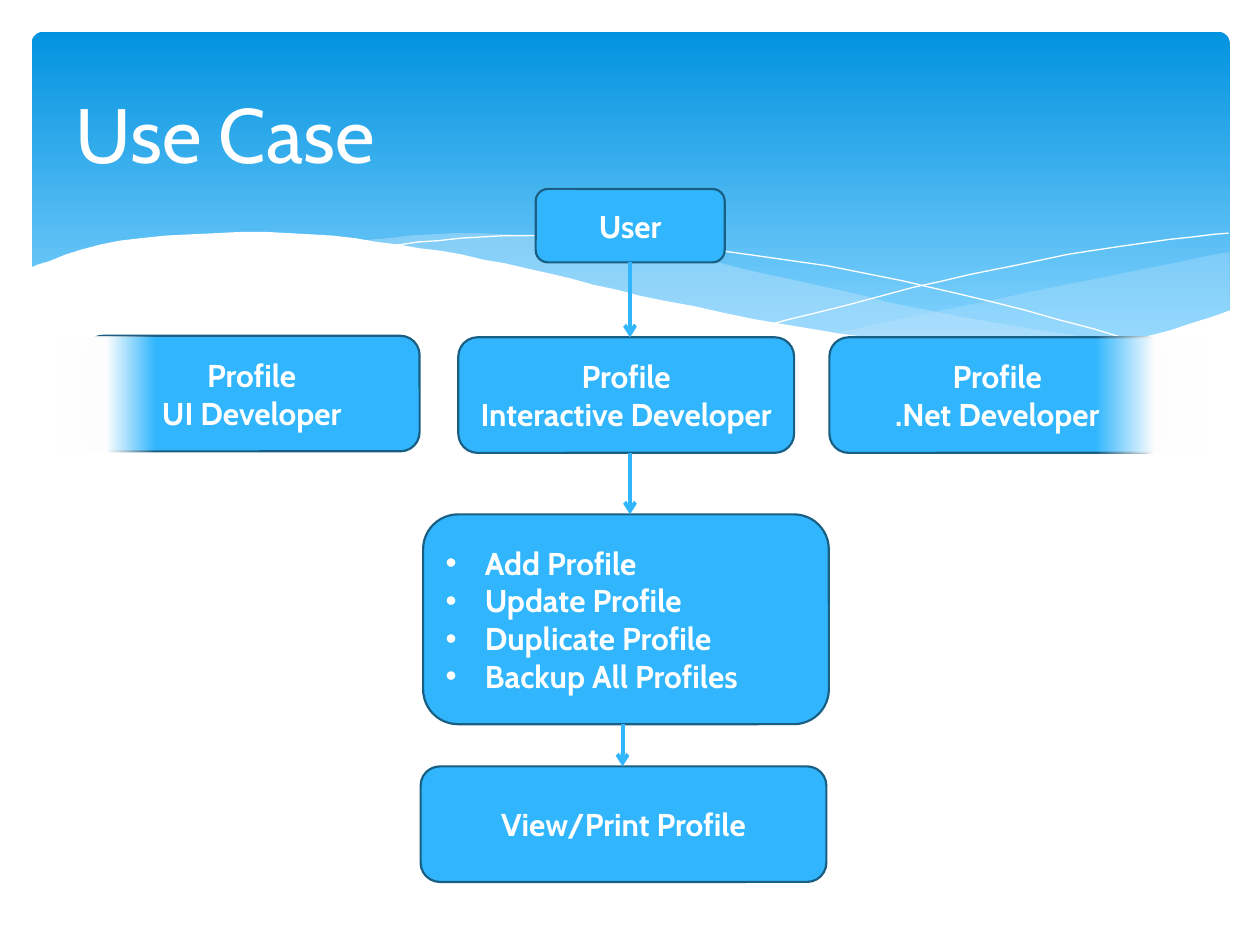
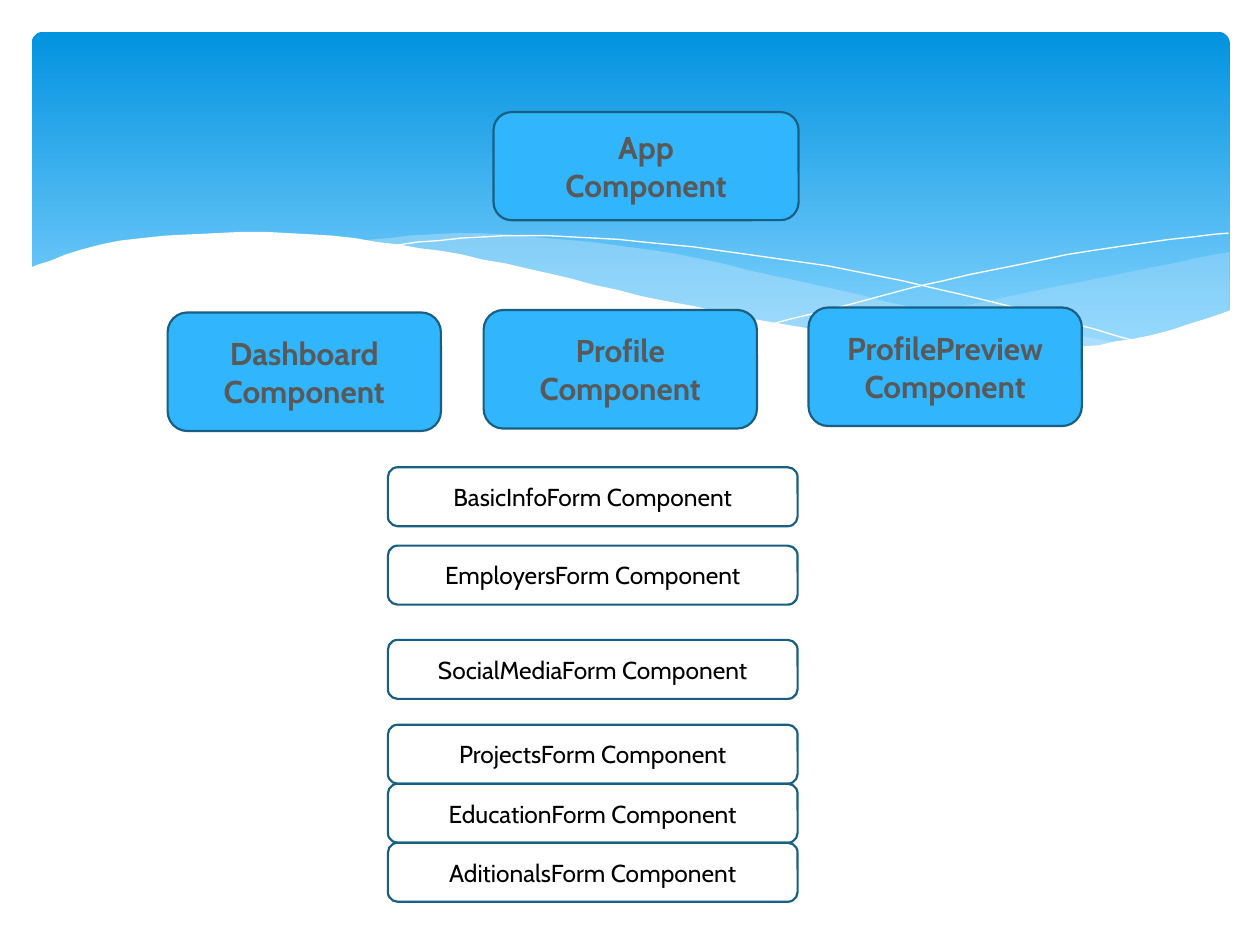
from dataclasses import dataclass
from typing import Optional

from lxml import etree
from pptx import Presentation
from pptx.dml.color import RGBColor
from pptx.enum.shapes import MSO_CONNECTOR, MSO_SHAPE
from pptx.enum.text import MSO_ANCHOR, PP_ALIGN
from pptx.oxml.ns import qn
from pptx.util import Cm, Pt

ROUNDED, RECTANGLE = MSO_SHAPE.ROUNDED_RECTANGLE, MSO_SHAPE.RECTANGLE
STRAIGHT = MSO_CONNECTOR.STRAIGHT
LEFT, CENTER, MIDDLE = PP_ALIGN.LEFT, PP_ALIGN.CENTER, MSO_ANCHOR.MIDDLE

WHITE = RGBColor.from_string("FFFFFF")
BLACK = RGBColor.from_string("000000")
GREY = RGBColor.from_string("595959")
SKY = RGBColor.from_string("31B6FD")
OUTLINE = RGBColor.from_string("195F84")
BAND_TOP = RGBColor.from_string("0293E0")
BAND_BOTTOM = RGBColor.from_string("83D3FE")
MIST = RGBColor.from_string("C6E7FC")
FONT = "Cabin"
CURVE_UNIT = Cm(0.0254)  # curve points are hundredths of an inch
CURVE_STEPS = 6

Point = tuple[int, int]


@dataclass(frozen=True)
class Wave:
    """Smooth edges joined at corners; without a fill, a hairline."""
    edges: tuple[tuple[Point, ...], ...]
    fill: Optional[RGBColor] = None
    opacity: int = 100


@dataclass(frozen=True)
class Box:
    """A rounded box; lengths in centimetres."""
    lines: tuple[str, ...]
    left: float
    top: float
    width: float
    height: float
    color: RGBColor = WHITE
    fill: Optional[RGBColor] = SKY
    size: int = 18
    bold: bool = True
    bulleted: bool = False


@dataclass(frozen=True)
class Fade:
    left: float
    width: float
    flipped: bool = False


WAVES = (
    # Right-hand swell
    Wave((((976, 200), (861, 223), (661, 265)),
          ((661, 265), (803, 278), (889, 272), (976, 247))), MIST, 29),
    # Middle swell
    Wave((((893, 273), (741, 247), (629, 222), (514, 198), (380, 185), (286, 191)),
          ((286, 191), (404, 211), (530, 240), (665, 266), (785, 277), (893, 273))),
         MIST, 40),
    # Falling and rising hairlines
    Wave((((309, 195), (401, 187), (510, 192), (636, 208), (760, 233), (907, 272)),)),
    Wave((((613, 257), (748, 223), (866, 199), (975, 185)),)),
    # White foreground
    Wave((((977, 246), (899, 269), (809, 277), (668, 265), (529, 239), (418, 213),
           (316, 194), (211, 184), (95, 191), (23, 213)),
          ((23, 329), (977, 329))), WHITE),
)

# Use case diagram
PROFILE_W, PROFILE_H = 6.77, 2.33
STEP_W = 8.18
CENTER_X = 12.7
USER = Box(("User",), 10.8, 3.81, 3.81, 1.48)
UI, INTERACTIVE, NET = (
    Box(("Profile", f"{role} Developer"), left, top, PROFILE_W, PROFILE_H)
    for role, left, top in (("UI", 1.69, 6.77), ("Interactive", 9.24, 6.8),
                            (".Net", 16.72, 6.8)))
VIEW = Box(("View/Print Profile",), 8.48, 15.45, STEP_W, PROFILE_H)
ACTIONS = Box(("Add Profile", "Update Profile", "Duplicate Profile",
               "Backup All Profiles"), 8.53, 10.37, STEP_W, 4.23, bulleted=True)
ARROWS = ((USER, INTERACTIVE, CENTER_X), (INTERACTIVE, ACTIONS, CENTER_X),
          (ACTIONS, VIEW, 12.55))
FADES = (Fade(1.27, 1.91), Fade(22.02, 2.33, flipped=True))
FADE_TOP, FADE_H = 6.78, 2.36

# Component hierarchy
COMPONENT_W, COMPONENT_H = 5.51, 2.39
COMPONENTS = (("Profile", 9.75, 6.25), ("Dashboard", 3.38, 6.3),
              ("ProfilePreview", 16.3, 6.2))
FORM_LEFT, FORM_W, FORM_H = 7.82, 8.26, 1.19
PROJECTS_TOP = 14.61
FORM_TOPS = {
    "BasicInfo": 9.42, "Employers": 11.0, "SocialMedia": 12.9,
    # The last three touch
    "Projects": PROJECTS_TOP, "Education": PROJECTS_TOP + FORM_H,
    "Aditionals": PROJECTS_TOP + 2 * FORM_H,
}


def smooth(anchors: tuple[Point, ...]) -> list[Point]:
    """Sample a Catmull-Rom curve through the anchors."""
    padded = (anchors[0], *anchors, anchors[-1])
    points = [anchors[0]]
    for before, start, end, after in zip(padded, padded[1:], padded[2:], padded[3:]):
        for step in range(1, CURVE_STEPS + 1):
            t = step / CURVE_STEPS
            x, y = (round(b + t / 2 * (c - a + t * (2 * a - 5 * b + 4 * c - d
                                                    + t * (3 * (b - c) + d - a))))
                    for a, b, c, d in zip(before, start, end, after))
            points.append((x, y))
    return points


def set_opacity(color_parent, percent: int) -> None:
    color = color_parent.find(".//" + qn("a:srgbClr"))
    etree.SubElement(color, qn("a:alpha")).set("val", str(percent * 1000))


def set_fill(shape, color: Optional[RGBColor]) -> None:
    if color is None:
        shape.fill.background()
    else:
        shape.fill.solid()
        shape.fill.fore_color.rgb = color


def fill_gradient(shape, stops: tuple, angle: int) -> None:
    """Fill from two stops, each a position and a colour."""
    shape.fill.gradient()
    shape.fill.gradient_angle = angle
    for stop, (position, color) in zip(shape.fill.gradient_stops, stops):
        stop.position = position
        stop.color.rgb = color


def write(paragraph, text: str, size: int, color: RGBColor, bold: bool) -> None:
    run = paragraph.add_run()
    run.text = text
    run.font.name, run.font.size, run.font.bold = FONT, Pt(size), bold
    run.font.color.rgb = color


def add_bullet(paragraph) -> None:
    properties = paragraph._p.get_or_add_pPr()
    properties.set("marL", str(Cm(0.79)))
    properties.set("indent", str(-Cm(0.79)))
    etree.SubElement(properties, qn("a:buFont")).set("typeface", "Arial")
    etree.SubElement(properties, qn("a:buChar")).set("char", "•")


def draw_wave(slide, wave: Wave):
    points = [point for edge in wave.edges for point in smooth(edge)]
    builder = slide.shapes.build_freeform(*points[0], scale=CURVE_UNIT)
    builder.add_line_segments(points[1:], close=wave.fill is not None)
    shape = builder.convert_to_shape()
    shape.shadow.inherit = False
    set_fill(shape, wave.fill)
    if wave.fill is None:
        shape.line.color.rgb = WHITE
        shape.line.width = Pt(0)
    else:
        shape.line.fill.background()
    if wave.opacity < 100:
        set_opacity(shape.element.spPr, wave.opacity)
    return shape


def put_banner_on_master(slide, master) -> None:
    """Draw the banner, then move it behind the master's placeholders."""
    band = slide.shapes.add_shape(ROUNDED, Cm(0.64), Cm(0.64), Cm(24.15), Cm(6.86))
    band.adjustments[0] = 0.034
    band.shadow.inherit = False
    band.line.fill.background()
    fill_gradient(band, ((0, BAND_TOP), (0.9, BAND_BOTTOM)), 270)
    parts = [band] + [draw_wave(slide, wave) for wave in WAVES]
    first_placeholder = master.placeholders[0].element
    for number, part in enumerate(parts, start=100):
        part.element.find(".//" + qn("p:cNvPr")).set("id", str(number))
        first_placeholder.addprevious(part.element)


def set_title(slide, text: str) -> None:
    title = slide.shapes.title
    title.left, title.top, title.width, title.height = (
        Cm(1.27), Cm(0.94), Cm(22.86), Cm(3.48))
    title.text_frame.vertical_anchor = MIDDLE
    paragraph = title.text_frame.paragraphs[0]
    paragraph.alignment = LEFT
    write(paragraph, text, 44, WHITE, False)


def draw_box(slide, box: Box) -> None:
    shape = slide.shapes.add_shape(
        ROUNDED, Cm(box.left), Cm(box.top), Cm(box.width), Cm(box.height))
    shape.shadow.inherit = False
    set_fill(shape, box.fill)
    shape.line.color.rgb = OUTLINE
    shape.line.width = Pt(1.25)
    frame = shape.text_frame
    frame.word_wrap = True
    frame.vertical_anchor = MIDDLE
    for index, line in enumerate(box.lines):
        paragraph = frame.add_paragraph() if index else frame.paragraphs[0]
        paragraph.alignment = LEFT if box.bulleted else CENTER
        if box.bulleted:
            add_bullet(paragraph)
        write(paragraph, line, box.size, box.color, box.bold)


def draw_arrow(slide, upper: Box, lower: Box, x: float) -> None:
    connector = slide.shapes.add_connector(
        STRAIGHT, Cm(x), Cm(upper.top + upper.height), Cm(x), Cm(lower.top))
    connector.line.color.rgb = SKY
    connector.line.width = Pt(2.25)
    outline = connector.element.spPr.find(qn("a:ln"))
    etree.SubElement(outline, qn("a:tailEnd")).set("type", "arrow")
    etree.SubElement(connector.element.spPr, qn("a:effectLst"))


def draw_fade(slide, fade: Fade) -> None:
    shape = slide.shapes.add_shape(
        RECTANGLE, Cm(fade.left), Cm(FADE_TOP), Cm(fade.width), Cm(FADE_H))
    shape.shadow.inherit = False
    shape.line.fill.background()
    fill_gradient(shape, ((0.46, WHITE), (0.97, WHITE)), 0)
    set_opacity(shape.element.spPr.findall(".//" + qn("a:gs"))[-1], 0)
    if fade.flipped:
        shape.element.spPr.find(qn("a:xfrm")).set("flipH", "1")


def main() -> None:
    deck = Presentation()
    deck.slide_width, deck.slide_height = Cm(25.4), Cm(19.05)
    title_only, blank = deck.slide_layouts[5], deck.slide_layouts[6]

    # Slide 1: use case
    use_case = deck.slides.add_slide(title_only)
    put_banner_on_master(use_case, deck.slide_master)
    set_title(use_case, "Use Case")
    for box in (USER, UI, INTERACTIVE, NET, VIEW, ACTIONS):
        draw_box(use_case, box)
    for upper, lower, x in ARROWS:
        draw_arrow(use_case, upper, lower, x)
    for fade in FADES:
        draw_fade(use_case, fade)

    # Slide 2: component hierarchy
    hierarchy = deck.slides.add_slide(blank)
    draw_box(hierarchy, Box(("App", "Component"), 9.95, 2.26, 6.15, 2.18, GREY))
    for component, left, top in COMPONENTS:
        draw_box(hierarchy, Box((component, "Component"), left, top,
                                COMPONENT_W, COMPONENT_H, GREY))
    for form, top in FORM_TOPS.items():
        draw_box(hierarchy, Box((f"{form}Form Component",), FORM_LEFT, top, FORM_W,
                                FORM_H, BLACK, fill=None, size=14, bold=False))

    deck.save("out.pptx")


main()
